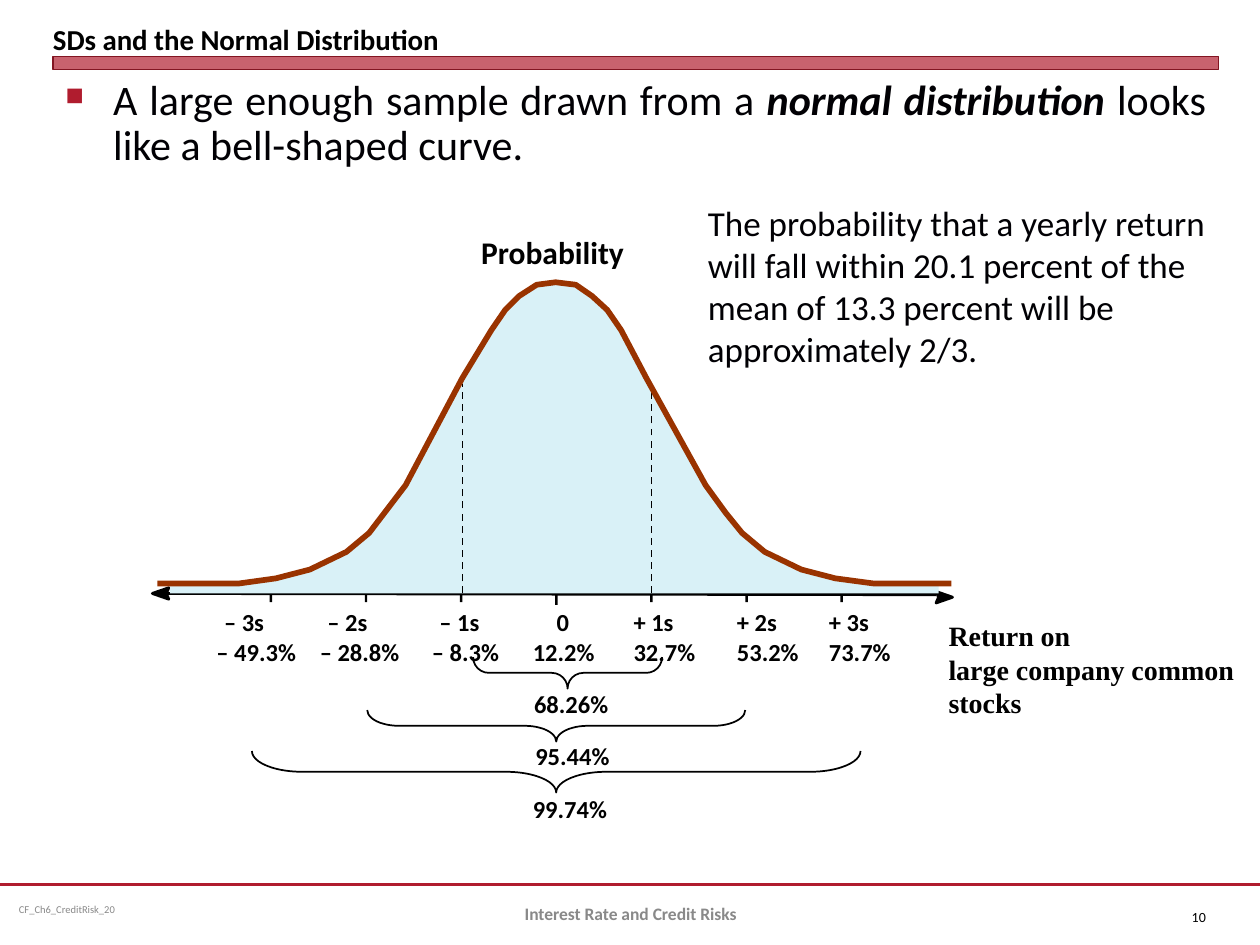
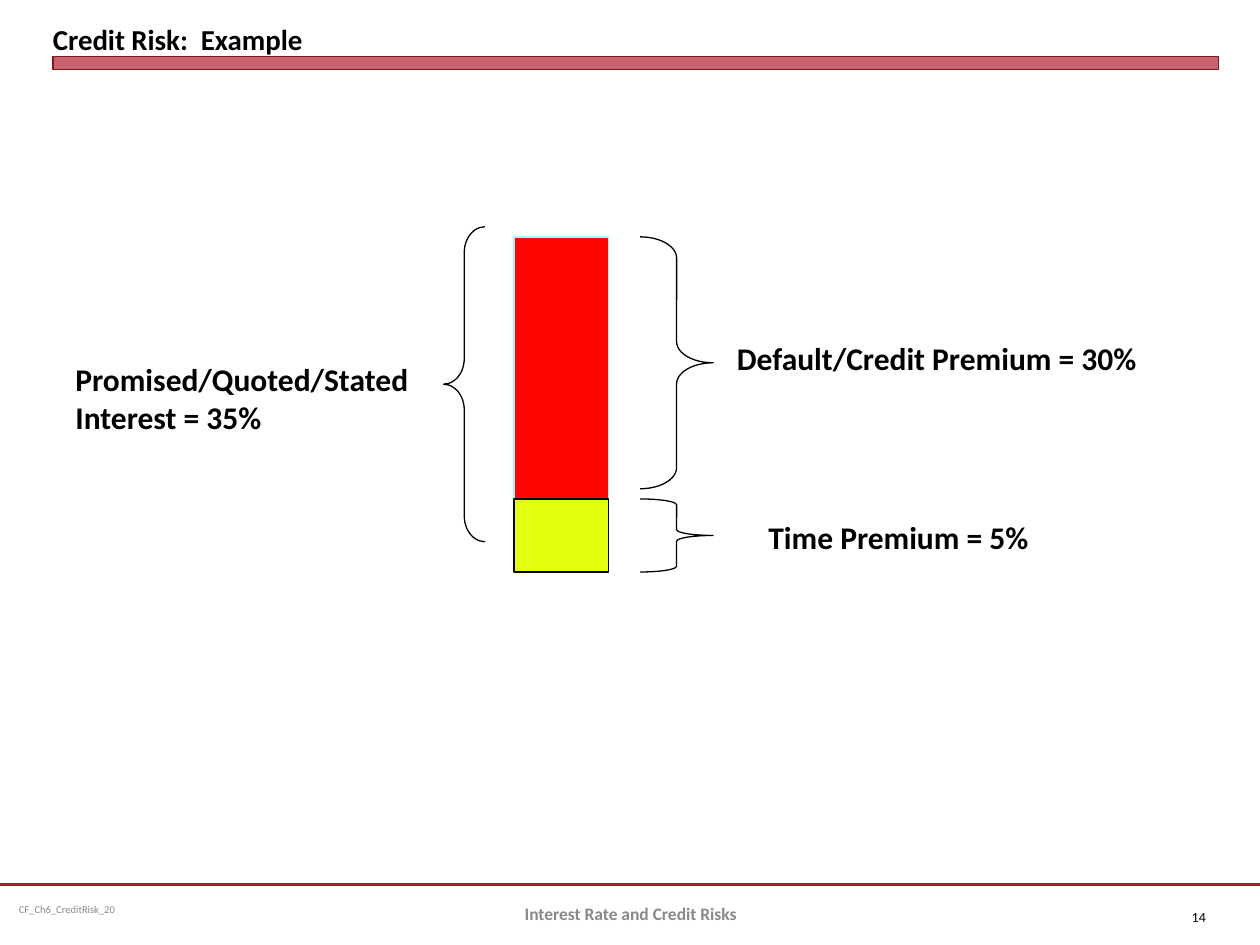
from dataclasses import dataclass

from lxml import etree
from pptx import Presentation
from pptx import util as u
from pptx.dml.color import RGBColor
from pptx.enum import dml, shapes, text
from pptx.oxml import ns

Inches = u.Inches


@dataclass(frozen=True)
class Theme:
    font: str = "Calibri"
    axis_font: str = "Times New Roman"
    accent: str = "B01C2E"
    accent_dark: str = "821522"
    ink: str = "000000"
    body: str = "010004"
    muted: str = "898989"
    area: str = "D9F1F7"
    curve: str = "993300"
    credit: str = "FF0502"
    credit_edge: str = "A3FBF9"
    time: str = "E3FF10"
    body_size: float = 24
    remark_size: float = 20
    label_size: float = 18
    title_size: float = 16.5
    axis_size: float = 16
    tick_size: float = 14
    footer_size: float = 10
    number_size: float = 8
    code_size: float = 6


THEME = Theme()
SHAPE = shapes.MSO_SHAPE
ANCHOR = text.MSO_ANCHOR
ALIGN = text.PP_ALIGN
DEFAULT_INSETS = (0.1, 0.05, 0.1, 0.05)

BELL_POINTS = [
    (1.61, 4.63), (1.9, 4.63), (2.19, 4.59), (2.46, 4.52), (2.75, 4.38),
    (2.93, 4.23), (3.22, 3.85), (3.67, 3), (3.9, 2.62), (4.01, 2.46),
    (4.12, 2.35), (4.26, 2.26), (4.41, 2.24), (4.57, 2.26), (4.7, 2.35),
    (4.82, 2.46), (4.93, 2.62), (5.13, 3), (5.6, 3.85), (5.76, 4.07),
    (5.89, 4.23), (6.07, 4.38), (6.36, 4.52), (6.63, 4.59), (6.93, 4.63),
    (7.17, 4.63),
]
AXIS_Y = 4.71
DEVIATION_LABELS = [
    (1.62, 0.84, 0.06, "– 3s", "– 49.3%"),
    (2.44, 0.84, 0.06, "– 2s", "– 28.8%"),
    (3.33, 0.74, 0.06, "– 1s", "– 8.3%"),
    (4.13, 0.69, 0.19, "0", "12.2%"),
    (4.93, 0.69, 0, "+ 1s", "32.7%"),
    (5.75, 0.69, 0, "+ 2s", "53.2%"),
    (6.48, 0.69, 0, "+ 3s", "73.7%"),
]


def rgb(color):
    return RGBColor.from_string(color)


def style_font(font, size, color, bold, name):
    font.size = u.Pt(size)
    font.color.rgb = rgb(color)
    font.bold = bold
    font.name = name


def add_text(slide, box, lines, size, color=THEME.ink, bold=False, font=THEME.font,
             align=ALIGN.LEFT, anchor=ANCHOR.TOP, insets=DEFAULT_INSETS, wrap=True):
    frame = slide.shapes.add_textbox(*map(Inches, box)).text_frame
    frame.word_wrap = wrap
    frame.vertical_anchor = anchor
    (frame.margin_left, frame.margin_top,
     frame.margin_right, frame.margin_bottom) = map(Inches, insets)
    for index, line in enumerate(lines):
        paragraph = frame.paragraphs[0] if index == 0 else frame.add_paragraph()
        paragraph.text = line
        paragraph.alignment = align
        style_font(paragraph.font, size, color, bold, font)
    return frame


def add_label(slide, box, line, size=THEME.label_size, wrap=False):
    add_text(slide, box, [line], size, bold=True, wrap=wrap)


def indent(paragraph, left, first=0):
    properties = paragraph._p.get_or_add_pPr()
    properties.set("marL", str(Inches(left)))
    properties.set("indent", str(Inches(first)))
    return properties


def add_bullet(paragraph, color, percent, symbol):
    properties = indent(paragraph, 0.38, -0.38)
    bullet_color = etree.SubElement(properties, ns.qn("a:buClr"))
    etree.SubElement(bullet_color, ns.qn("a:srgbClr"), val=color)
    etree.SubElement(properties, ns.qn("a:buSzPct"), val=str(percent * 1000))
    etree.SubElement(properties, ns.qn("a:buChar"), char=symbol)


def paint(shape, fill=None, line=None, width=0.75):
    shape.shadow.inherit = False
    if fill:
        shape.fill.solid()
        shape.fill.fore_color.rgb = rgb(fill)
    else:
        shape.fill.background()
    if line:
        shape.line.color.rgb = rgb(line)
        shape.line.width = u.Pt(width)
    else:
        shape.line.fill.background()
    return shape


def add_box(slide, box, fill, line=None, width=0.75):
    shape = slide.shapes.add_shape(SHAPE.RECTANGLE, *map(Inches, box))
    return paint(shape, fill, line, width)


def add_brace(slide, kind, box, curl, width=0.75, rotation=0):
    brace = slide.shapes.add_shape(kind, *map(Inches, box))
    brace.adjustments[0] = curl
    brace.adjustments[1] = 0.5
    brace.rotation = rotation
    paint(brace, line=THEME.ink, width=width)


def add_line(slide, start, end, color, width, dash=None):
    connector = slide.shapes.add_connector(
        shapes.MSO_CONNECTOR.STRAIGHT, *map(Inches, (*start, *end)))
    connector.line.color.rgb = rgb(color)
    connector.line.width = u.Pt(width)
    if dash:
        connector.line.dash_style = dash
    etree.SubElement(connector._element.spPr, ns.qn("a:effectLst"))


def add_outline(slide, points, close, fill=None, line=None, width=0.75):
    corners = [(Inches(x), Inches(y)) for x, y in points]
    builder = slide.shapes.build_freeform(*corners[0])
    builder.add_line_segments(corners[1:], close=close)
    paint(builder.convert_to_shape(), fill, line, width)


def add_arrowhead(slide, x, y, direction):
    back, notch = x - 0.13 * direction, x - 0.11 * direction
    points = [(x, y), (back, y - 0.045), (notch, y), (back, y + 0.045)]
    add_outline(slide, points, True, THEME.ink, THEME.ink, 1.63)


def add_frame(presentation, title, number):
    slide = presentation.slides.add_slide(presentation.slide_layouts[6])
    add_line(slide, (0, 7.02), (10, 7.02), THEME.accent, 1.25)
    add_text(slide, (0.08, 7.02, 2.58, 0.4), ["CF_Ch6_CreditRisk_20"], THEME.code_size,
             THEME.muted, anchor=ANCHOR.MIDDLE, insets=(0.07, 0.04, 0.07, 0.04))
    band = add_box(slide, (0.42, 0.45, 9.25, 0.1), THEME.accent, THEME.accent_dark, 0)
    band_color = band._element.spPr.find(ns.qn("a:solidFill"))[0]
    etree.SubElement(band_color, ns.qn("a:alpha"), val="69000")
    add_text(slide, (0.42, 0.05, 9.25, 0.4), [title], THEME.title_size, bold=True,
             anchor=ANCHOR.BOTTOM, insets=(0, 0, 0, 0))
    add_text(slide, (9.17, 7.08, 0.5, 0.4), [str(number)], THEME.number_size,
             align=ALIGN.RIGHT, anchor=ANCHOR.MIDDLE)
    add_text(slide, (3.42, 7.05, 3.17, 0.4), ["Interest Rate and Credit Risks"],
             THEME.footer_size, THEME.muted, bold=True, align=ALIGN.CENTER,
             anchor=ANCHOR.MIDDLE)
    return slide


def add_statement(slide):
    frame = add_text(slide, (0.42, 0.58, 9.25, 6.36), [""], THEME.body_size,
                     THEME.body, align=ALIGN.JUSTIFY)
    paragraph = frame.paragraphs[0]
    paragraph._p.remove(paragraph._p.pPr)
    paragraph.alignment = ALIGN.JUSTIFY
    paragraph.line_spacing = 0.9
    add_bullet(paragraph, THEME.accent, 60, "■")
    for words, strong in [("A large enough sample drawn from a ", False),
                          ("normal distribution ", True),
                          ("looks like a bell-shaped curve.", False)]:
        run = paragraph.add_run()
        run.text = words
        style_font(run.font, THEME.body_size, THEME.body, strong, THEME.font)
        run.font.italic = strong


def add_bell(slide):
    add_line(slide, (1.32, AXIS_Y), (7.43, AXIS_Y + 0.01), THEME.ink, 1.63)
    add_arrowhead(slide, 7.56, 4.74, 1)
    add_arrowhead(slide, 1.21, AXIS_Y, -1)
    for index in range(7):
        height = 0.09 if index == 3 else 0.07
        add_box(slide, (2.14 + 0.755 * index, AXIS_Y, 0.02, height), THEME.ink)
    area = [(x - 0.01, y + 0.02) for x, y in BELL_POINTS]
    base = [(7.45, 4.65), (7.45, AXIS_Y), (1.35, AXIS_Y), (1.35, 4.65)]
    add_outline(slide, area + base, True, THEME.area)
    for x in (3.67, 5.17):
        add_line(slide, (x, AXIS_Y), (x, 3.05), THEME.ink, 1, dml.MSO_LINE.DASH)
    add_outline(slide, [(1.25, 4.63), *BELL_POINTS, (7.55, 4.63)], False,
                line=THEME.curve, width=3.25)


def add_deviation_labels(slide):
    for left, width, shift, deviation, value in DEVIATION_LABELS:
        frame = add_text(slide, (left, 4.77, width, 0.57), [deviation, value],
                         THEME.tick_size, bold=True, wrap=False)
        indent(frame.paragraphs[0], shift)


def add_coverage(slide):
    for brace_box, curl, label_left, label_top, share in [
        ((4.38, 4.59, 0.25, 1.5), 0.5, 4.14, 5.42, "68.26%"),
        ((4.29, 4.26, 0.25, 3), 1, 4.15, 5.83, "95.44%"),
        ((4.25, 3.71, 0.33, 4.83), 1.21, 4.13, 6.25, "99.74%"),
    ]:
        add_brace(slide, SHAPE.LEFT_BRACE, brace_box, curl, 1, 270)
        add_label(slide, (label_left, label_top, 0.79, 0.33), share, THEME.tick_size)


def build_distribution(presentation):
    slide = add_frame(presentation, "SDs and the Normal Distribution", 10)
    add_statement(slide)
    add_label(slide, (3.72, 1.8, 1.35, 0.4), "Probability")
    add_text(slide, (7.43, 4.86, 2.5, 0.9),
             ["Return on", "large company common", "stocks"],
             THEME.axis_size, bold=True, font=THEME.axis_font)
    add_text(slide, (5.52, 1.55, 4.17, 1.43),
             ["The probability that a yearly return will fall within 20.1 percent "
              "of the mean of 13.3 percent will be approximately 2/3."],
             THEME.remark_size, THEME.body)
    add_bell(slide)
    add_deviation_labels(slide)
    add_coverage(slide)


def build_credit_example(presentation):
    slide = add_frame(presentation, "Credit Risk:  Example", 14)
    add_box(slide, (4.08, 1.88, 0.75, 2.08), THEME.credit, THEME.credit_edge)
    add_box(slide, (4.08, 3.96, 0.75, 0.58), THEME.time, THEME.ink)
    add_brace(slide, SHAPE.LEFT_BRACE, (3.52, 1.8, 0.33, 2.5), 0.62)
    add_brace(slide, SHAPE.RIGHT_BRACE, (5.08, 1.88, 0.58, 2), 0.29)
    add_brace(slide, SHAPE.RIGHT_BRACE, (5.08, 3.96, 0.58, 0.58), 0.08)
    add_label(slide, (0.5, 2.81, 2.92, 0.71), "Promised/Quoted/Stated Interest = 35%",
              wrap=True)
    add_label(slide, (5.75, 2.64, 3.42, 0.4), "Default/Credit Premium = 30%")
    add_label(slide, (6, 4.06, 2.29, 0.4), "Time Premium = 5%")


def main():
    presentation = Presentation()
    presentation.slide_width = Inches(10)
    presentation.slide_height = Inches(7.5)
    build_distribution(presentation)
    build_credit_example(presentation)
    presentation.save("out.pptx")


if __name__ == "__main__":
    main()
